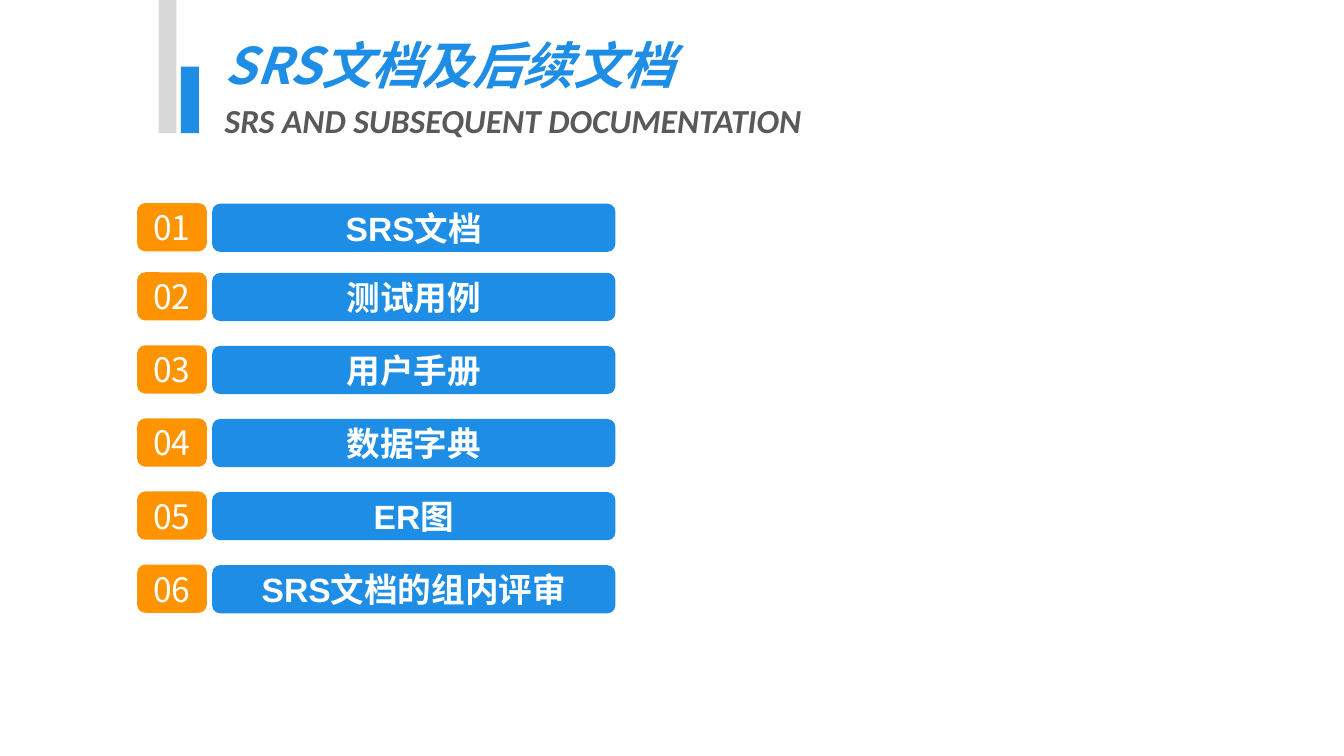
from lxml import etree
from pptx import Presentation
from pptx import util as u
from pptx.dml.color import RGBColor
from pptx.enum import shapes, text
from pptx.oxml.ns import qn

BLUE, ORANGE, LIGHT_GRAY = "1D8DE5", "FF9300", "D8D8D8"
DARK_GRAY, WHITE = "595959", "FFFFFF"
CJK_FONT = "Noto Sans CJK SC"

TOPICS = ["SRS文档", "测试用例", "用户手册", "数据字典", "ER图", "SRS文档的组内评审"]
FIRST_TOP = 145.5
SECOND_TOP = 194.9
ROW_STEP = 52.2
ROW_HEIGHT = 34.4


def color(hex_string):
    return RGBColor.from_string(hex_string)


class SlideBuilder:
    def __init__(self, slide):
        self.slide = slide

    def format_runs(self, paragraph, size, font_name, font_color, bold=False, italic=False):
        for run in paragraph.runs:
            font = run.font
            font.size = u.Pt(size)
            font.bold = bold
            font.italic = italic
            font.color.rgb = color(font_color)
            font.name = font_name
            east_asian = etree.SubElement(run._r.get_or_add_rPr(), qn("a:ea"))
            east_asian.set("typeface", CJK_FONT)

    def block(self, kind, left, top, width, height, fill):
        shape = self.slide.shapes.add_shape(
            kind, u.Pt(left), u.Pt(top), u.Pt(width), u.Pt(height))
        shape.shadow.inherit = False
        shape.fill.solid()
        shape.fill.fore_color.rgb = color(fill)
        shape.line.fill.background()
        return shape

    def bar(self, left, top, width, height, fill):
        self.block(shapes.MSO_SHAPE.RECTANGLE, left, top, width, height, fill)

    def label(self, words, left, top, width, fill, font_name, bold=False):
        """Add a rounded box with centred white text."""
        shape = self.block(shapes.MSO_SHAPE.ROUNDED_RECTANGLE,
                           left, top, width, ROW_HEIGHT, fill)
        shape.adjustments[0] = 0.167
        frame = shape.text_frame
        frame.margin_left = frame.margin_right = 0
        frame.margin_top = frame.margin_bottom = 0
        frame.vertical_anchor = text.MSO_ANCHOR.MIDDLE
        frame.text = words
        paragraph = frame.paragraphs[0]
        paragraph.alignment = text.PP_ALIGN.CENTER
        self.format_runs(paragraph, 24, font_name, WHITE, bold)

    def heading(self, title, subtitle, left, top, width, height):
        box = self.slide.shapes.add_textbox(
            u.Pt(left), u.Pt(top), u.Pt(width), u.Pt(height))
        frame = box.text_frame
        frame.word_wrap = True
        frame.auto_size = text.MSO_AUTO_SIZE.SHAPE_TO_FIT_TEXT
        frame.text = title
        title_paragraph = frame.paragraphs[0]
        subtitle_paragraph = frame.add_paragraph()
        subtitle_paragraph.text = subtitle
        for paragraph in frame.paragraphs:
            paragraph.line_spacing = 1.12
        self.format_runs(title_paragraph, 36, CJK_FONT, BLUE, True, True)
        self.format_runs(subtitle_paragraph, 24, "Calibri", DARK_GRAY, True, True)


def main():
    presentation = Presentation()
    presentation.slide_width = u.Pt(960)
    presentation.slide_height = u.Pt(540)
    builder = SlideBuilder(presentation.slides.add_slide(presentation.slide_layouts[6]))

    builder.bar(113.3, 0, 12.8, 95.2, LIGHT_GRAY)
    builder.bar(129.3, 47.6, 12.8, 47.6, BLUE)
    builder.heading("SRS文档及后续文档", "SRS AND SUBSEQUENT DOCUMENTATION",
                    153.4, 15.8, 442, 87.1)

    for index, topic in enumerate(TOPICS):
        top = SECOND_TOP + (index - 1) * ROW_STEP if index else FIRST_TOP
        builder.label(topic, 151.6, top, 288, BLUE, "Arial", bold=True)
        builder.label(f"{index + 1:02}", 98, top - 0.4, 49.7, ORANGE, CJK_FONT)

    presentation.save("out.pptx")


if __name__ == "__main__":
    main()
